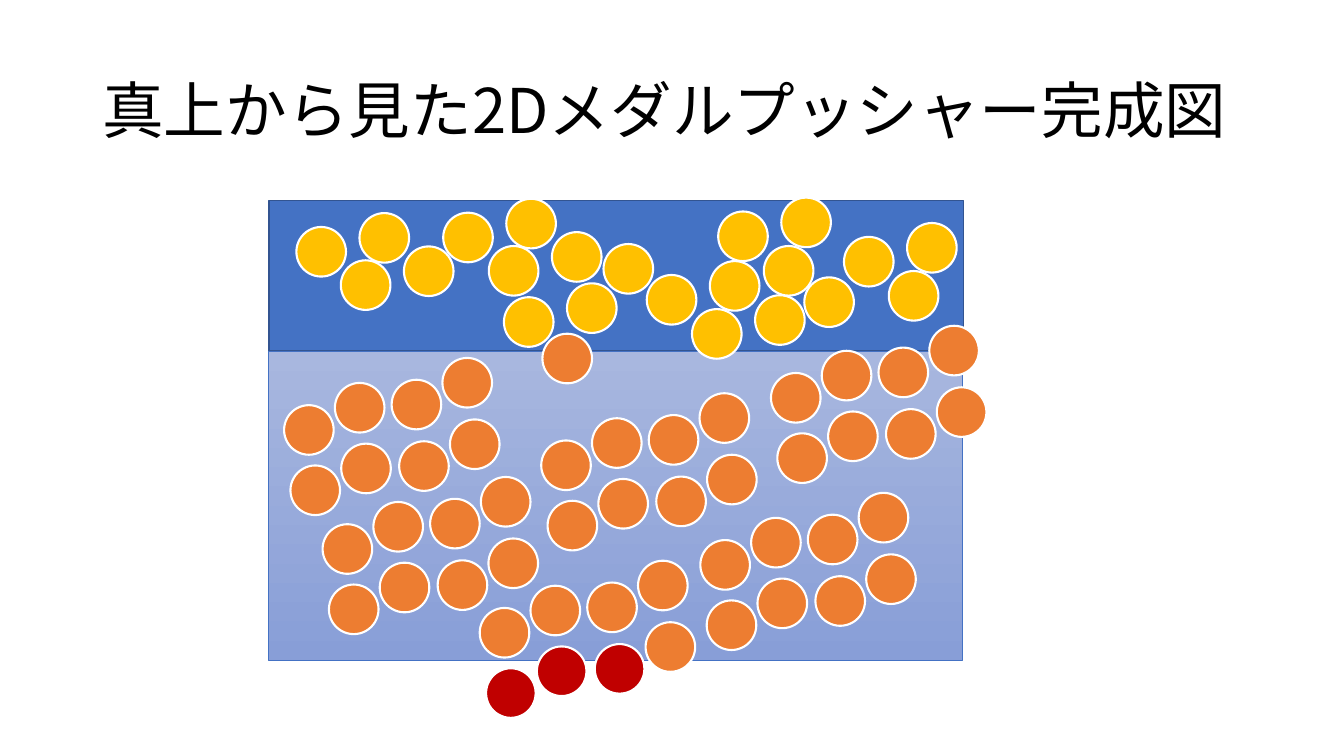
from lxml import etree
from pptx import Presentation
from pptx.dml.color import RGBColor
from pptx.enum.lang import MSO_LANGUAGE_ID
from pptx.enum.shapes import MSO_SHAPE
from pptx.enum.text import MSO_ANCHOR
from pptx.oxml.ns import qn
from pptx.util import Cm, Pt

RECTANGLE = MSO_SHAPE.RECTANGLE
OVAL = MSO_SHAPE.OVAL
MIDDLE = MSO_ANCHOR.MIDDLE
JAPANESE = MSO_LANGUAGE_ID.JAPANESE

BLACK = RGBColor(0x00, 0x00, 0x00)
WHITE = RGBColor(0xFF, 0xFF, 0xFF)
BLUE = RGBColor(0x44, 0x72, 0xC4)
DARK_BLUE = RGBColor(0x32, 0x54, 0x91)
PALE_TOP = RGBColor(0xA8, 0xB7, 0xDF)
PALE_BOTTOM = RGBColor(0x88, 0x9E, 0xD7)
GOLD = RGBColor(0xFF, 0xC0, 0x00)
ORANGE = RGBColor(0xED, 0x7D, 0x31)
RED = RGBColor(0xC0, 0x00, 0x00)

FONT = "Noto Sans CJK JP"
TITLE = "真上から見た2Dメダルプッシャー完成図"
MEDAL_SIZE = 1.25

PAIR = [(0, 0), (1.59, -0.35)]
PAIR_STARTS = [
    (7.47, 5.72), (8.59, 6.56), (11.17, 5.36), (12.32, 6.2), (16.3, 6.93),
    (17.44, 7.79), (21.27, 5.97), (18.1, 5.33), (12.7, 7.49),
]
SINGLE_GOLD = [(15.21, 6.15), (20.27, 6.99), (22.4, 6.83), (19.25, 6.2)]

CLUSTER = [
    (0, 0), (1.28, -0.56), (0.16, 1.52), (1.44, 0.97),
    (2.9, 0.91), (4.18, 0.36), (2.71, -0.64), (3.99, -1.19),
]
CLUSTER_STARTS = [(13.64, 11.1), (7.16, 10.21), (8.13, 13.21), (17.65, 13.61), (19.43, 9.4)]
FALLING_START = (12.09, 15.32)
FALLING_COLORS = [ORANGE] * 2 + [RED] * 3 + [ORANGE] * 3
SINGLE_ORANGE = (13.67, 8.41)


def apply_format(target, values):
    for name, value in values.items():
        setattr(target, name, value)


def add_title(page, left, top, width, height):
    box = page.shapes.add_textbox(Cm(left), Cm(top), Cm(width), Cm(height))
    apply_format(box.text_frame, {"word_wrap": True, "vertical_anchor": MIDDLE})
    para = box.text_frame.paragraphs[0]
    para.line_spacing = 0.9
    span = para.add_run()
    span.text = TITLE
    apply_format(span.font, {"size": Pt(44), "name": FONT, "language_id": JAPANESE})
    span.font.color.rgb = BLACK
    east_asian = etree.SubElement(span.font._element, qn("a:ea"))
    east_asian.set("typeface", FONT)


def add_figure(page, kind, left, top, width, height, fill, line, weight):
    figure = page.shapes.add_shape(kind, Cm(left), Cm(top), Cm(width), Cm(height))
    figure.shadow.inherit = False
    figure.fill.solid()
    figure.fill.fore_color.rgb = fill
    figure.line.color.rgb = line
    figure.line.width = Pt(weight)
    return figure


def add_table_surface(page, left, top, width, height):
    surface = add_figure(page, RECTANGLE, left, top, width, height, PALE_TOP, BLUE, 0.5)
    surface.fill.gradient()
    surface.fill.gradient_angle = 270
    for stop, color in zip(surface.fill.gradient_stops, (PALE_TOP, PALE_BOTTOM)):
        stop.color.rgb = color


def add_medal(page, left, top, color):
    add_figure(page, OVAL, left, top, MEDAL_SIZE, MEDAL_SIZE, color, WHITE, 1.5)


def add_medal_group(page, start, offsets, colors):
    for (across, down), color in zip(offsets, colors):
        add_medal(page, start[0] + across, start[1] + down, color)


def main():
    deck = Presentation()
    apply_format(deck, {"slide_width": Cm(33.87), "slide_height": Cm(19.05)})
    page = deck.slides.add_slide(deck.slide_layouts[6])
    add_title(page, 2.33, 1.01, 29.21, 3.68)
    add_figure(page, RECTANGLE, 6.78, 5.06, 17.5, 3.79, BLUE, DARK_BLUE, 1)
    add_table_surface(page, 6.76, 8.86, 17.5, 7.77)
    for start in CLUSTER_STARTS:
        add_medal_group(page, start, CLUSTER, [ORANGE] * len(CLUSTER))
    add_medal_group(page, FALLING_START, CLUSTER, FALLING_COLORS)
    for start in PAIR_STARTS:
        add_medal_group(page, start, PAIR, [GOLD] * len(PAIR))
    for left, top in SINGLE_GOLD:
        add_medal(page, left, top, GOLD)
    add_medal(page, *SINGLE_ORANGE, ORANGE)
    deck.save("out.pptx")


main()
